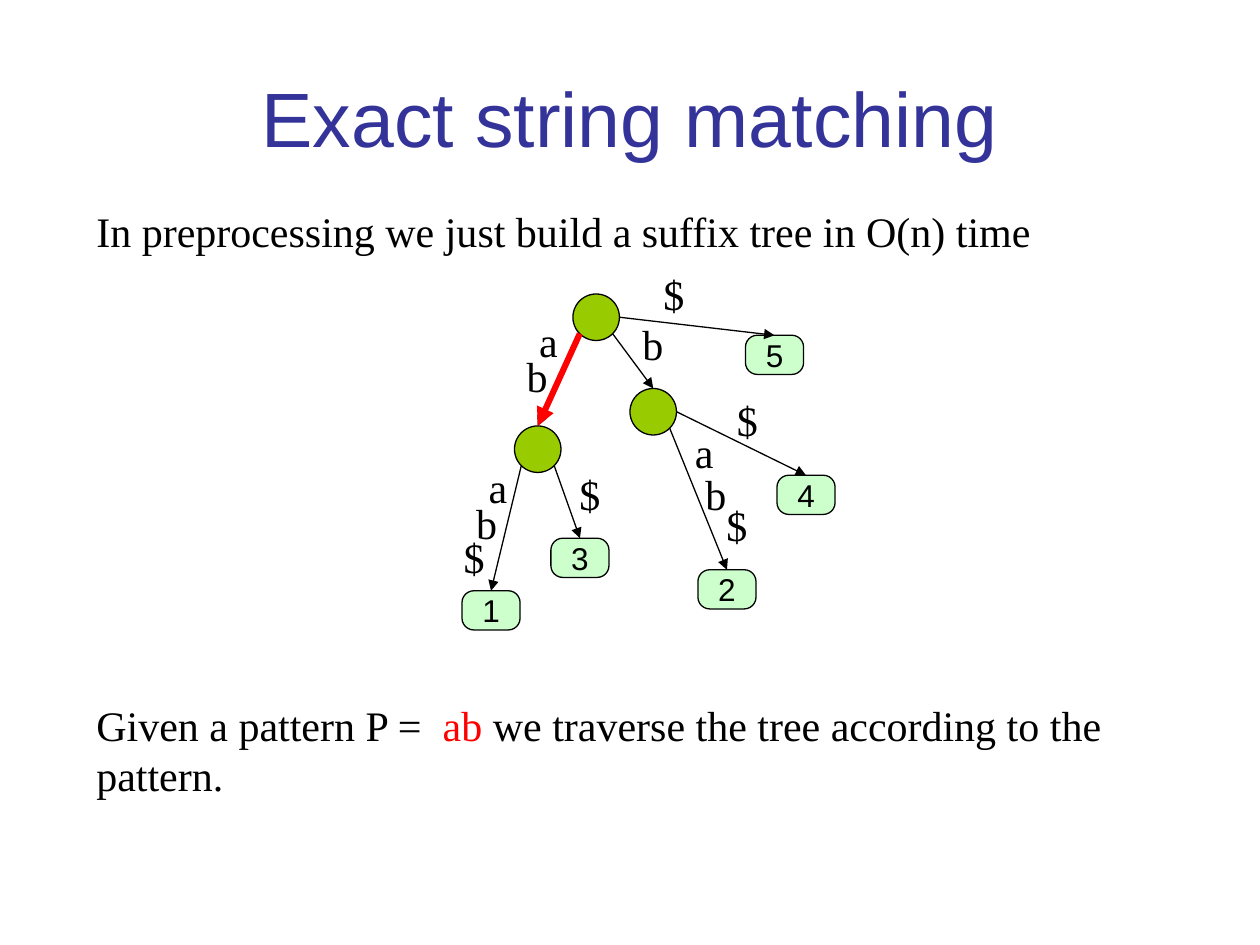
from dataclasses import dataclass
from math import sqrt

from lxml.etree import SubElement
from pptx import Presentation
from pptx.dml.color import RGBColor
from pptx.enum.shapes import MSO_CONNECTOR, MSO_SHAPE
from pptx.enum.text import MSO_ANCHOR, MSO_AUTO_SIZE, PP_ALIGN
from pptx.oxml.ns import qn
from pptx.util import Pt


@dataclass(frozen=True)
class Theme:
    title: str = "333399"
    ink: str = "000000"
    accent: str = "FF0000"
    node: str = "99CC00"
    leaf: str = "CCFFCC"
    heading: str = "Arial"
    body: str = "Times New Roman"
    title_size: float = 44
    body_size: float = 24
    leaf_size: float = 18
    thin: float = 0.75
    thick: float = 3.5


@dataclass(frozen=True)
class Box:
    x: float
    y: float
    w: float
    h: float
    text: str = ""

    @property
    def top(self) -> tuple[float, float]:
        return self.x + self.w / 2, self.y

    def port(self, side: str) -> tuple[float, float]:
        near, far = (1 - 1 / sqrt(2)) / 2, (1 + 1 / sqrt(2)) / 2
        fx, fy = {"left": (near, far), "right": (far, far), "side": (1, 0.5)}[side]
        return self.x + self.w * fx, self.y + self.h * fy


@dataclass(frozen=True)
class Edge:
    parent: Box
    side: str
    child: Box
    color: str
    width: float


T = Theme()


def node(x: float, y: float) -> Box:
    return Box(x, y, 26.6, 26.6)


def leaf(text: str, x: float, y: float) -> Box:
    return Box(x, y, 33.2, 22.4, text)


def apply(obj, values: dict) -> None:
    for name, value in values.items():
        setattr(obj, name, value)


def frame(tf, wrap: bool, anchor, auto_size) -> None:
    apply(tf, {"word_wrap": wrap, "vertical_anchor": anchor, "auto_size": auto_size,
               "margin_left": Pt(7.2), "margin_right": Pt(7.2),
               "margin_top": Pt(3.6), "margin_bottom": Pt(3.6)})


def add_run(p, text: str, font: str, size: float, color: str) -> None:
    r = p.add_run()
    r.text = text
    apply(r.font, {"name": font, "size": Pt(size)})
    r.font.color.rgb = RGBColor.from_string(color)


def add_title(s, text: str) -> None:
    sp = s.shapes.title
    apply(sp, {"left": Pt(36), "top": Pt(21.6), "width": Pt(648), "height": Pt(90)})
    frame(sp.text_frame, True, MSO_ANCHOR.MIDDLE, MSO_AUTO_SIZE.NONE)
    p = sp.text_frame.paragraphs[0]
    p.alignment = PP_ALIGN.CENTER
    add_run(p, text, T.heading, T.title_size, T.title)


def add_text(s, box: Box, runs: list[tuple[str, str]]) -> None:
    sp = s.shapes.add_textbox(Pt(box.x), Pt(box.y), Pt(box.w), Pt(box.h))
    frame(sp.text_frame, True, MSO_ANCHOR.TOP, MSO_AUTO_SIZE.SHAPE_TO_FIT_TEXT)
    p = sp.text_frame.paragraphs[0]
    p.space_before = Pt(15)
    for text, color in runs:
        add_run(p, text, T.body, T.body_size, color)


def add_box(s, box: Box, kind, fill: str):
    sp = s.shapes.add_shape(kind, Pt(box.x), Pt(box.y), Pt(box.w), Pt(box.h))
    sp.shadow.inherit = False
    sp.fill.solid()
    sp.fill.fore_color.rgb = RGBColor.from_string(fill)
    sp.line.color.rgb = RGBColor.from_string(T.ink)
    sp.line.width = Pt(T.thin)
    return sp


def add_leaf(s, box: Box) -> None:
    sp = add_box(s, box, MSO_SHAPE.ROUNDED_RECTANGLE, T.leaf)
    sp.adjustments[0] = 0.3
    frame(sp.text_frame, False, MSO_ANCHOR.MIDDLE, MSO_AUTO_SIZE.NONE)
    p = sp.text_frame.paragraphs[0]
    p.alignment = PP_ALIGN.CENTER
    add_run(p, box.text, T.heading, T.leaf_size, T.ink)


def add_edge(s, edge: Edge) -> None:
    points = (*edge.parent.port(edge.side), *edge.child.top)
    c = s.shapes.add_connector(MSO_CONNECTOR.STRAIGHT, *(Pt(v) for v in points))
    c.line.color.rgb = RGBColor.from_string(edge.color)
    c.line.width = Pt(edge.width)
    SubElement(c.line._get_or_add_ln(), qn("a:tailEnd"), type="triangle")
    SubElement(c._element.spPr, qn("a:effectLst"))


def main() -> None:
    prs = Presentation()
    apply(prs, {"slide_width": Pt(720), "slide_height": Pt(540)})
    s = prs.slides.add_slide(prs.slide_layouts[5])

    add_title(s, "Exact string matching")
    add_text(s, Box(48, 114, 612, 36),
             [("In preprocessing we just build a suffix tree in O(n) time", T.ink)])
    add_text(s, Box(48, 396, 612, 65),
             [("Given a pattern P =  ", T.ink), ("ab ", T.accent),
              ("we traverse the tree according to the pattern.", T.ink)])

    root, ab, b = nodes = [node(327.4, 168), node(294, 243.4), node(360, 222)]
    leaves = [leaf("1", 264, 337.6), leaf("2", 398.8, 325.6), leaf("3", 314.8, 307.6),
              leaf("4", 444, 271.6), leaf("5", 426, 191.6)]
    one, two, three, four, five = leaves
    links = [(root, "left", ab), (root, "right", b), (root, "side", five),
             (ab, "left", one), (ab, "right", three),
             (b, "right", two), (b, "side", four)]
    edges = [Edge(*link, T.ink, T.thin) for link in links]
    edges.append(Edge(root, "left", ab, T.accent, T.thick))
    labels = [("a", 301, 177), ("b", 293.8, 196.6),
              ("a", 272.2, 260), ("b", 265, 281), ("$", 257.8, 300),
              ("a", 390, 240), ("b", 396, 264), ("$", 408, 282),
              ("b", 360, 178.6), ("$", 324, 264), ("$", 414, 222), ("$", 372, 150)]

    for box in nodes:
        add_box(s, box, MSO_SHAPE.OVAL, T.node)
    for box in leaves:
        add_leaf(s, box)
    for text, x, y in labels:
        add_text(s, Box(x, y, 30, 36), [(text, T.ink)])
    for edge in edges:
        add_edge(s, edge)

    prs.save("out.pptx")


if __name__ == "__main__":
    main()
